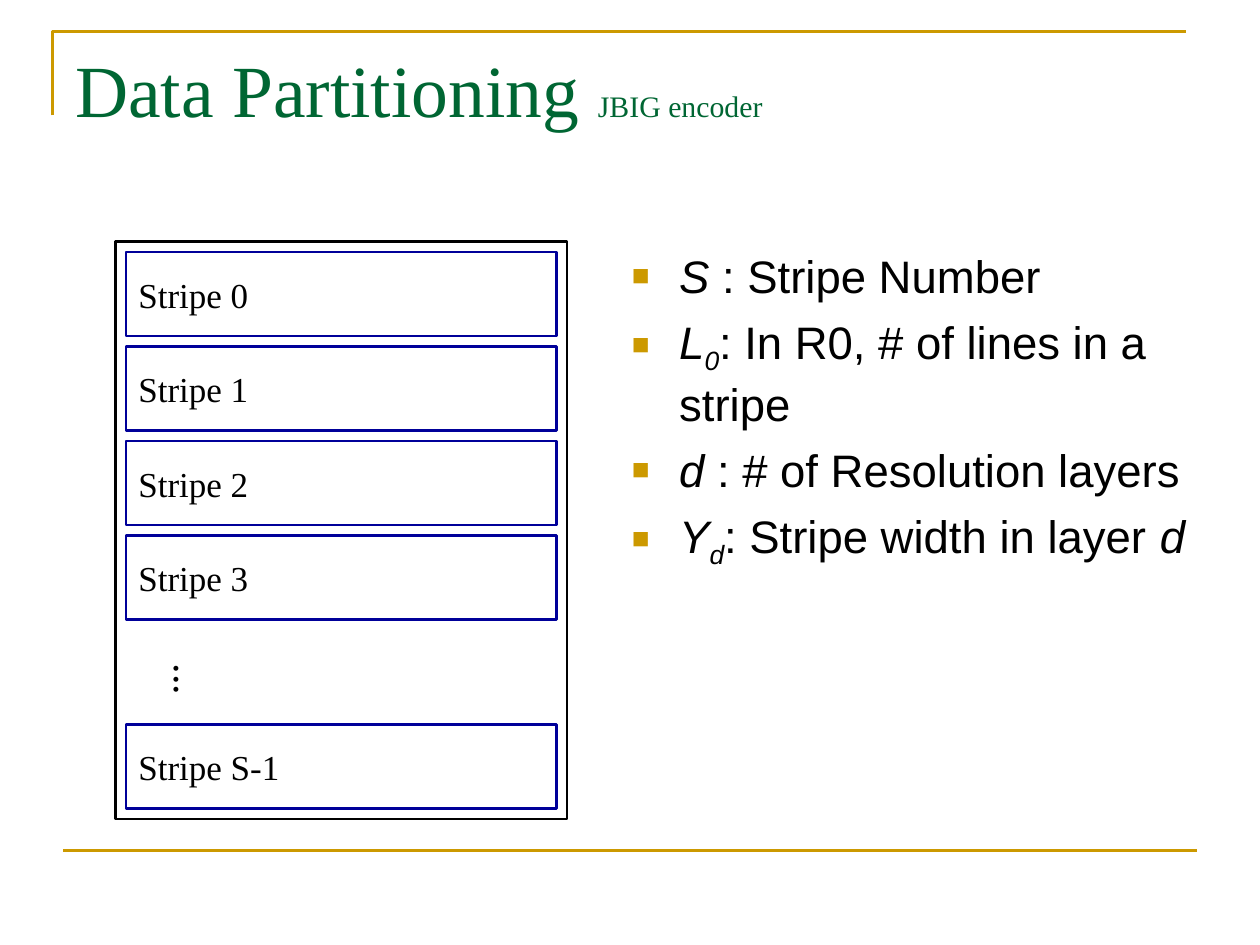
"""Build the data partitioning slide of a JBIG encoder lecture."""
from lxml import etree
from pptx import Presentation
from pptx.dml.color import RGBColor
from pptx.enum.shapes import MSO_CONNECTOR, MSO_SHAPE
from pptx.enum.text import MSO_ANCHOR
from pptx.oxml.ns import qn
from pptx.util import Emu, Pt

STRAIGHT = MSO_CONNECTOR.STRAIGHT
RECTANGLE = MSO_SHAPE.RECTANGLE
TOP, MIDDLE = MSO_ANCHOR.TOP, MSO_ANCHOR.MIDDLE
EMU_PER_PX = 7620
SERIF, SANS = "Times New Roman", "Arial"
GOLD, GREEN, NAVY, BLACK, WHITE = "CC9900", "006633", "000099", "000000", "FFFFFF"


def px(value):
    return Emu(value * EMU_PER_PX)


def color(hex_value):
    return RGBColor.from_string(hex_value)


def apply(target, values):
    for name, value in values.items():
        setattr(target, name, value)


class SlideBuilder:
    def __init__(self, page):
        self.page = page
        self.line_width = Pt(1.5)

    def stroke(self, line, hex_value):
        line.color.rgb = color(hex_value)
        line.width = self.line_width

    def rule(self, start, end):
        line = self.page.shapes.add_connector(STRAIGHT, *map(px, start + end))
        self.stroke(line.line, GOLD)
        etree.SubElement(line._element.spPr, qn("a:effectLst"))

    def corner(self, first, *others):
        builder = self.page.shapes.build_freeform(*first, scale=EMU_PER_PX)
        builder.add_line_segments(others, close=False)
        outline = builder.convert_to_shape()
        outline.shadow.inherit = False
        outline.fill.background()
        self.stroke(outline.line, GOLD)

    def rectangle(self, bounds, line_color):
        box = self.page.shapes.add_shape(RECTANGLE, *map(px, bounds))
        box.shadow.inherit = False
        box.fill.solid()
        box.fill.fore_color.rgb = color(WHITE)
        self.stroke(box.line, line_color)
        return box

    def stripe(self, bounds, label):
        box = self.rectangle(bounds, NAVY)
        apply(box.text_frame, {"vertical_anchor": MIDDLE, "word_wrap": False})
        para = box.text_frame.paragraphs[0]
        self.span(para, label, BLACK, size=Pt(20), name=SERIF)
        para.alignment = 1

    def text_box(self, bounds, **frame_format):
        frame = self.page.shapes.add_textbox(*map(px, bounds)).text_frame
        apply(frame, {"word_wrap": True, "vertical_anchor": TOP, **frame_format})
        return frame

    def span(self, para, text, hex_value, **font_format):
        span = para.add_run()
        span.text = text
        span.font.color.rgb = color(hex_value)
        apply(span.font, font_format)
        return span

    def title(self, bounds, *parts):
        para = self.text_box(bounds).paragraphs[0]
        for text, size in parts:
            self.span(para, text, GREEN, size=Pt(size), name=SERIF)

    def bullets(self, bounds, items):
        frame = self.text_box(bounds)
        for index, parts in enumerate(items):
            para = frame.add_paragraph() if index else frame.paragraphs[0]
            para.space_before = Pt(6.5)
            self.bullet(para)
            for text, italic, baseline in parts:
                span = self.span(para, text, BLACK, size=Pt(26), name=SANS, italic=italic)
                if baseline:
                    span.font._element.set("baseline", str(baseline * 1000))

    def bullet(self, para):
        properties = para._p.get_or_add_pPr()
        properties.set("marL", str(px(45)))
        properties.set("indent", str(-px(45)))
        bullet_color = etree.SubElement(properties, qn("a:buClr"))
        etree.SubElement(bullet_color, qn("a:srgbClr"), val=GOLD)
        etree.SubElement(properties, qn("a:buSzPct"), val="65000")
        etree.SubElement(properties, qn("a:buFont"), typeface=SANS)
        etree.SubElement(properties, qn("a:buChar"), char="■")

    def vertical_text(self, bounds, text):
        insets = {"margin_left": px(6), "margin_right": px(6),
                  "margin_top": px(12), "margin_bottom": px(12)}
        frame = self.text_box(bounds, **{**insets, "word_wrap": False})
        frame._txBody.bodyPr.set("vert", "eaVert")
        self.span(frame.paragraphs[0], text, BLACK, size=Pt(24), name=SERIF)


def main():
    deck = Presentation()
    apply(deck, {"slide_width": px(1200), "slide_height": px(900)})
    builder = SlideBuilder(deck.slides.add_slide(deck.slide_layouts[6]))

    builder.corner((50, 110), (50, 30), (1130, 30))
    builder.rule((60, 810), (1140, 810))
    builder.title((60, 36, 1080, 150), ("Data Partitioning ", 42), ("JBIG encoder", 17))
    builder.bullets((590, 230, 580, 570), [
        [("S", True, 0), (" : Stripe Number", False, 0)],
        [("L", True, 0), ("0", True, -25), (": In R0, # of lines in a stripe", False, 0)],
        [("d", True, 0), (" : # of Resolution layers", False, 0)],
        [("Y", True, 0), ("d", True, -25), (": Stripe width in layer ", False, 0),
         ("d", True, 0)],
    ])

    builder.rectangle((110, 230, 430, 550), BLACK)
    stripes = {0: "Stripe 0", 1: "Stripe 1", 2: "Stripe 2", 3: "Stripe 3", 5: "Stripe S-1"}
    for row, label in stripes.items():
        builder.stripe((120, 240 + 90 * row, 410, 80), label)
    builder.vertical_text((140, 620, 72, 42), "...")

    deck.save("out.pptx")


if __name__ == "__main__":
    main()
